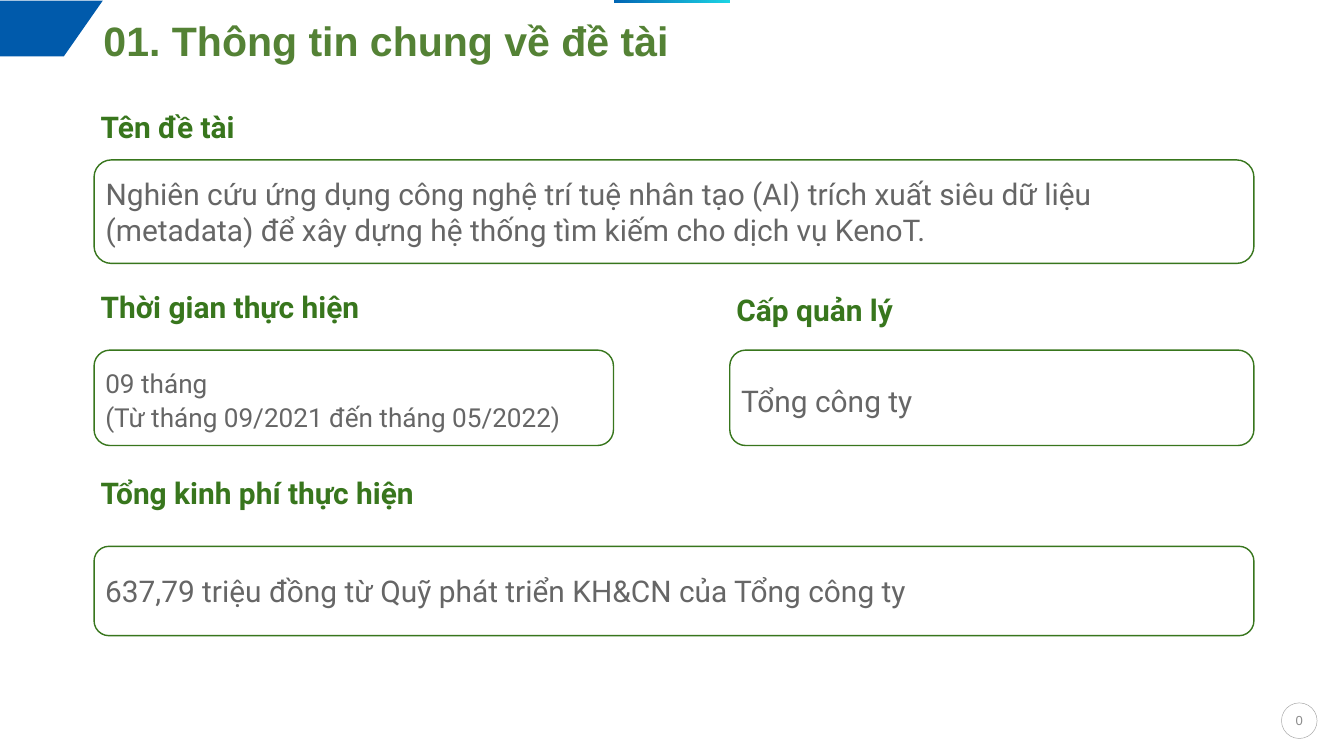
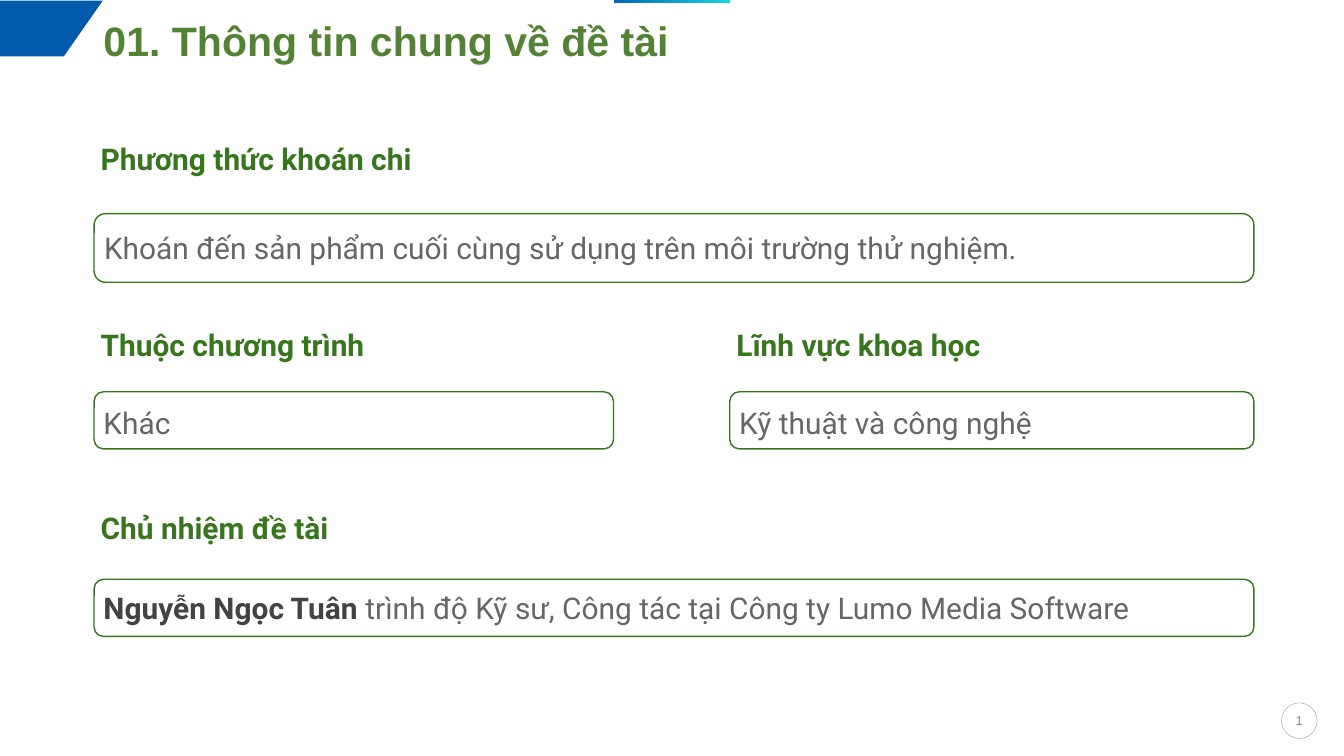
from dataclasses import dataclass

from pptx import Presentation
from pptx.dml.color import RGBColor
from pptx.enum.shapes import MSO_SHAPE
from pptx.enum.text import MSO_ANCHOR, MSO_AUTO_SIZE, PP_ALIGN
from pptx.util import Inches, Pt

ROUNDED = MSO_SHAPE.FLOWCHART_ALTERNATE_PROCESS
ELLIPSE = MSO_SHAPE.OVAL
RECTANGLE = MSO_SHAPE.RECTANGLE
MIDDLE = MSO_ANCHOR.MIDDLE
TOP = MSO_ANCHOR.TOP
LEFT = PP_ALIGN.LEFT
CENTER = PP_ALIGN.CENTER
FIXED = MSO_AUTO_SIZE.NONE
GROW = MSO_AUTO_SIZE.SHAPE_TO_FIT_TEXT


@dataclass(frozen=True)
class Theme:
    title_color: str = "548235"
    green: str = "38761D"
    gray: str = "666666"
    dark: str = "434343"
    number_color: str = "8C8C8C"
    ring: str = "A6A6A6"
    corner: str = "005AAB"
    accent_start: str = "0166B4"
    accent_end: str = "1CD4E4"
    white: str = "FFFFFF"
    heading_font: str = "Arial"
    body_font: str = "Roboto"
    title_size: int = 44
    body_size: int = 32
    small_size: int = 28
    number_size: int = 14


theme = Theme()


def rgb(value):
    return RGBColor.from_string(value)


def write(shape, paragraphs, font=theme.body_font, size=theme.body_size,
          color=theme.gray, bold=False, align=LEFT, anchor=TOP,
          insets=(0.1, 0.1), line_spacing=None, gap=0, fit=FIXED):
    frame = shape.text_frame
    frame.word_wrap = True
    frame.auto_size = fit
    frame.vertical_anchor = anchor
    frame.margin_left = frame.margin_right = Inches(insets[0])
    frame.margin_top = frame.margin_bottom = Inches(insets[1])
    for index, runs in enumerate(paragraphs):
        paragraph = frame.add_paragraph() if index else frame.paragraphs[0]
        paragraph.alignment = align
        if index:
            paragraph.space_before = Pt(gap)
        elif line_spacing:
            paragraph.line_spacing = line_spacing
        for text, *emphasis in runs:
            run = paragraph.add_run()
            run.text = text
            run.font.name = font
            run.font.size = Pt(size)
            run.font.bold = bool(emphasis) or bold
            run.font.color.rgb = rgb(emphasis[0] if emphasis else color)


FULL = (1.4, 17.26)
LEFT_HALF = (1.4, 7.73)
RIGHT_HALF = (10.86, 7.8)

heading = "01. Thông tin chung về đề tài"
SPACED = {"line_spacing": 1.15}
pages = [
    [
        ("Tên đề tài", 1.51, 3.23, FULL, 2.38, 1.54,
         [[("Nghiên cứu ứng dụng công nghệ trí tuệ nhân tạo (AI) trích xuất siêu dữ liệu "
            "(metadata) để xây dựng hệ thống tìm kiếm cho dịch vụ KenoT.",)]], {}),
        ("Thời gian thực hiện", 4.19, 7.73, LEFT_HALF, 5.21, 1.42,
         [[("09 tháng",)], [("(Từ tháng 09/2021 đến tháng 05/2022)",)]],
         {"size": theme.small_size, "gap": 3, **SPACED}),
        ("Cấp quản lý", 4.24, 7.8, RIGHT_HALF, 5.21, 1.42,
         [[("Tổng công ty",)]], SPACED),
        ("Tổng kinh phí thực hiện", 6.96, 16.51, FULL, 8.13, 1.33,
         [[("637,79 triệu đồng từ Quỹ phát triển KH&CN của Tổng công ty",)]], {}),
    ],
    [
        ("Phương thức khoán chi", 2, 17.26, FULL, 3.18, 1.02,
         [[("Khoán đến sản phẩm cuối cùng sử dụng trên môi trường thử nghiệm.",)]], {}),
        ("Thuộc chương trình", 4.76, 7.73, LEFT_HALF, 5.83, 0.85,
         [[("Khác",)]], SPACED),
        ("Lĩnh vực khoa học", 4.76, 7.8, RIGHT_HALF, 5.83, 0.85,
         [[("Kỹ thuật và công nghệ",)]], SPACED),
        ("Chủ nhiệm đề tài", 7.48, 7.73, FULL, 8.62, 0.85,
         [[("Nguyễn Ngọc Tuân ", theme.dark),
           ("trình độ Kỹ sư, Công tác tại Công ty Lumo Media Software",)]], {}),
    ],
]

deck = Presentation()
deck.slide_width = Inches(20)
deck.slide_height = Inches(11.25)

for number, sections in enumerate(pages):
    slide = deck.slides.add_slide(deck.slide_layouts[5])
    shapes = slide.shapes
    slide.background.fill.solid()
    slide.background.fill.fore_color.rgb = rgb(theme.white)

    title = shapes.title
    title.left, title.top = Inches(FULL[0]), Inches(0.05)
    title.width, title.height = Inches(FULL[1]), Inches(0.83)
    write(title, [[(heading,)]], font=theme.heading_font, size=theme.title_size,
          color=theme.title_color, bold=True, anchor=MIDDLE,
          insets=(0.14, 0.07), line_spacing=1.35)

    outline = shapes.build_freeform(Inches(0), Inches(0.01))
    outline.add_line_segments([(Inches(x), Inches(y)) for x, y in
                               ((1.53, 0.01), (0.95, 0.84), (0, 0.84))])
    corner = outline.convert_to_shape()
    corner.shadow.inherit = False
    corner.fill.solid()
    corner.fill.fore_color.rgb = rgb(theme.corner)
    corner.line.fill.background()

    accent = shapes.add_shape(RECTANGLE, Inches(9.14), Inches(0), Inches(1.73), Inches(0.05))
    accent.shadow.inherit = False
    accent.line.fill.background()
    accent.fill.gradient()
    accent.fill.gradient_angle = 0
    stop_colors = (theme.accent_start, theme.accent_end)
    for position, (stop, color) in enumerate(zip(accent.fill.gradient_stops, stop_colors)):
        stop.position = position
        stop.color.rgb = rgb(color)

    ring = shapes.add_shape(ELLIPSE, Inches(19.07), Inches(10.46), Inches(0.53), Inches(0.53))
    ring.shadow.inherit = False
    ring.fill.background()
    ring.line.color.rgb = rgb(theme.ring)
    ring.line.width = Pt(0.5)

    page_number = shapes.add_textbox(Inches(19.07), Inches(10.56), Inches(0.53), Inches(0.34))
    write(page_number, [[(str(number),)]], font=theme.heading_font, size=theme.number_size,
          color=theme.number_color, align=CENTER, insets=(0.1, 0.05))

    for label, label_top, label_width, (left, width), top, height, content, style in sections:
        caption = shapes.add_textbox(Inches(left), Inches(label_top),
                                     Inches(label_width), Inches(0.74))
        write(caption, [[(label,)]], color=theme.green, bold=True, fit=GROW)

        panel = shapes.add_shape(ROUNDED, Inches(left), Inches(top), Inches(width), Inches(height))
        panel.shadow.inherit = False
        panel.fill.solid()
        panel.fill.fore_color.rgb = rgb(theme.white)
        panel.line.color.rgb = rgb(theme.green)
        panel.line.width = Pt(1.5)
        write(panel, content, anchor=MIDDLE, **style)

deck.save("out.pptx")
